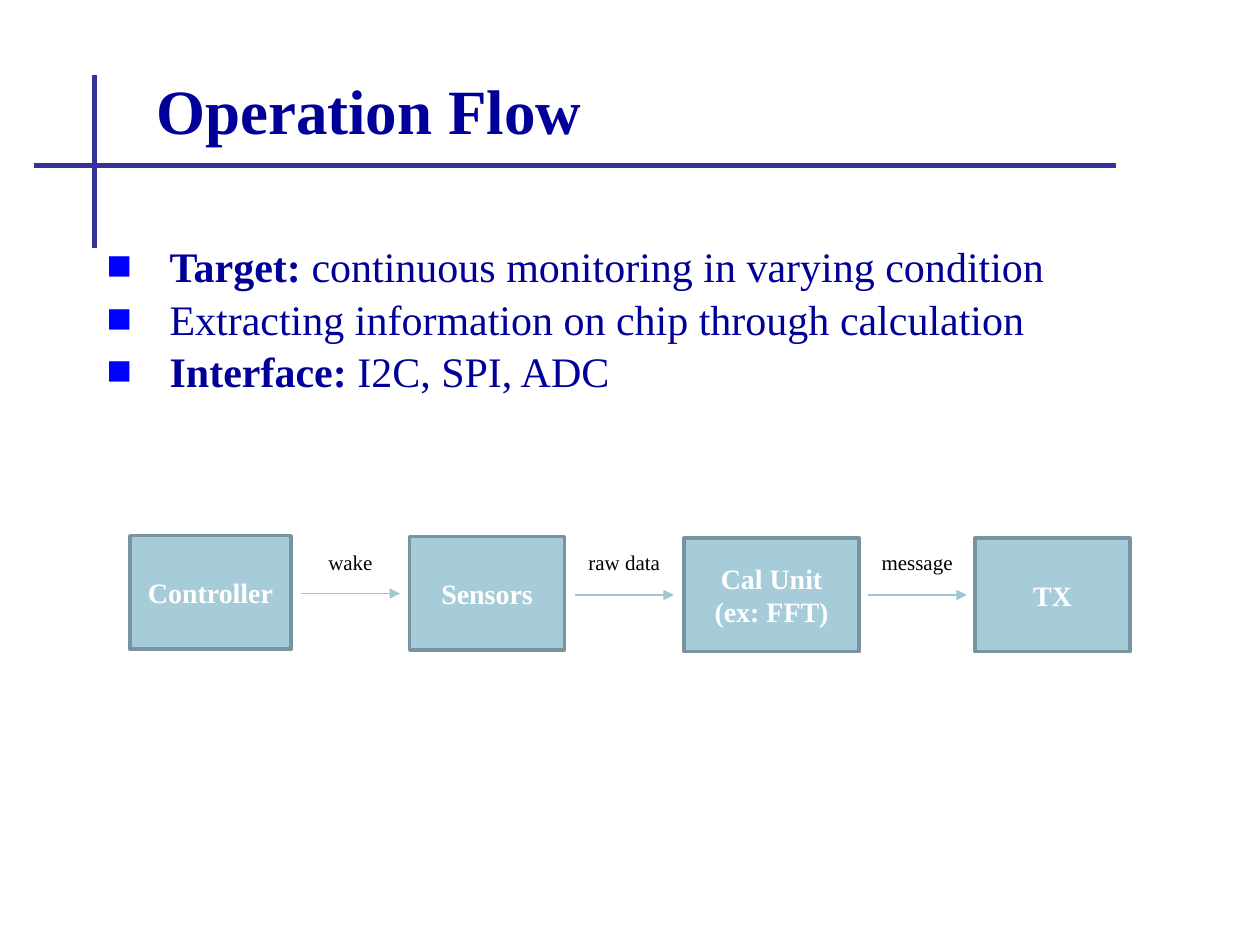
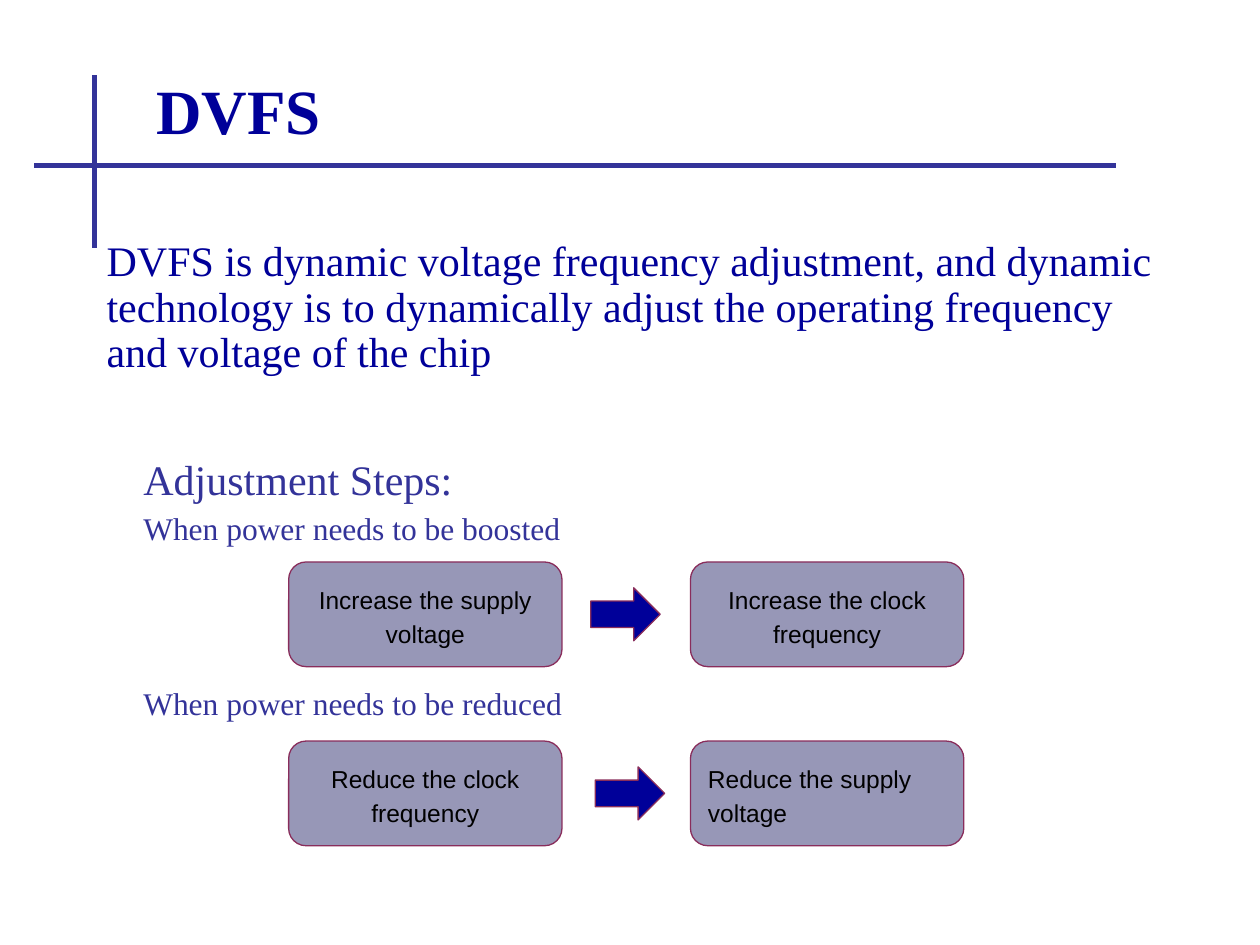
from lxml.etree import SubElement
from pptx import Presentation
from pptx.dml.color import RGBColor
from pptx.enum.shapes import MSO_CONNECTOR as Connector, MSO_SHAPE as Shape
from pptx.enum.text import MSO_ANCHOR as Anchor, PP_ALIGN as Align
from pptx.oxml.ns import qn
from pptx.util import Cm, Pt

COLORS = {
    "rule": "333399", "text": "000099", "bullet": "0000FF",
    "node": "A7CCD9", "node_edge": "79949E", "flow": "A1C7D4",
    "step": "9797B7", "step_edge": "892D5B",
    "white": "FFFFFF", "black": "000000",
}
SERIF, SANS = "Times New Roman", "Arial"

# Shared frame, in cm
RULES = [(0.69, 3.33, 22.5, 3.33), (1.9, 1.52, 1.9, 5)]
TITLE_AREA = (2.9, 0.91, 20.6, 2.59)
BODY_AREA = (1.9, 4.72, 21.6, 12.62)

# Operation flow: bullets are (bold lead, rest), nodes are (text, left, top, width)
FLOW_BULLETS = [
    ("Target: ", "continuous monitoring in varying condition"),
    ("", "Extracting information on chip through calculation"),
    ("Interface:", " I2C, SPI, ADC"),
]
NODES = [
    (["Controller"], 2.62, 10.8, 3.25),
    (["Sensors"], 8.26, 10.82, 3.12),
    (["Cal Unit", "(ex: FFT)"], 13.79, 10.85, 3.53),
    (["TX"], 19.66, 10.85, 3.12),
]
MESSAGES = ["wake", "raw data", "message"]
NODE_HEIGHT, FLOW_LENGTH = 2.29, 2
LABEL_TOP, LABEL_WIDTH, LABEL_HEIGHT = 10.95, 2.6, 0.8

# DVFS: rows are (top, arrow left, steps with alignment)
DVFS_TEXT = ("DVFS is dynamic voltage frequency adjustment, and dynamic technology "
             "is to dynamically adjust the operating frequency and voltage of the chip")
STEP_NOTES = ["Adjustment Steps:", "When power needs to be boosted",
              "When power needs to be reduced"]
STEP_ROWS = [
    (11.33, 11.91, [("Increase the supply voltage", Align.CENTER),
                    ("Increase the clock frequency", Align.CENTER)]),
    (14.94, 12, [("Reduce the clock frequency", Align.CENTER),
                 ("Reduce the supply voltage", Align.LEFT)]),
]
STEP_LEFTS = [5.82, 13.92]
STEP_WIDTH, STEP_HEIGHT = 5.51, 2.11
ARROW_WIDTH, ARROW_HEIGHT = 1.4, 1.07


def rgb(name):
    return RGBColor.from_string(COLORS[name])


def style(span, size, color, font=SERIF, bold=False):
    span.font.size, span.font.name, span.font.bold = Pt(size), font, bold
    span.font.color.rgb = rgb(color)


def write(box, lines, size, color, align=Align.LEFT, anchor=Anchor.TOP, inset=0.13,
          **look):
    """Fill a box with one paragraph per line and return the paragraphs."""
    frame = box.text_frame
    frame.text = "\n".join(lines)
    frame.word_wrap, frame.vertical_anchor = True, anchor
    frame.margin_left = frame.margin_right = Cm(0.25)
    frame.margin_top = frame.margin_bottom = Cm(inset)
    for para in frame.paragraphs:
        para.alignment = align
        for span in para.runs:
            style(span, size, color, **look)
    return frame.paragraphs


def add_box(page, area):
    return page.shapes.add_textbox(*map(Cm, area))


def add_block(page, kind, area, fill, edge, width):
    block = page.shapes.add_shape(kind, *map(Cm, area))
    block.shadow.inherit = False
    block.fill.solid()
    block.fill.fore_color.rgb = rgb(fill)
    block.line.color.rgb = rgb(edge)
    block.line.width = Pt(width)
    return block


def add_line(page, ends, color, width, arrow=False):
    line = page.shapes.add_connector(Connector.STRAIGHT, *map(Cm, ends))
    line.line.color.rgb = rgb(color)
    line.line.width = Pt(width)
    if arrow:
        SubElement(line.line._get_or_add_ln(), qn("a:tailEnd"), type="triangle")
    SubElement(line._element.spPr, qn("a:effectLst"))


def add_bullet(para):
    props = para._p.get_or_add_pPr()
    props.set("marL", str(Cm(1.27)))
    props.set("indent", str(-Cm(1.27)))
    SubElement(SubElement(props, qn("a:buClr")), qn("a:srgbClr"), val=COLORS["bullet"])
    SubElement(props, qn("a:buFont"), typeface=SERIF)
    SubElement(props, qn("a:buChar"), char="■")


def add_page(deck, title):
    page = deck.slides.add_slide(deck.slide_layouts[6])
    for ends in RULES:
        add_line(page, ends, "rule", 3)
    write(add_box(page, TITLE_AREA), [title], 36, "text", anchor=Anchor.MIDDLE, bold=True)
    return page


def build_operation_flow(deck):
    page = add_page(deck, "Operation Flow")

    # Bullets
    paras = write(add_box(page, BODY_AREA), [rest for _, rest in FLOW_BULLETS], 24, "text")
    for index, (para, (lead, rest)) in enumerate(zip(paras, FLOW_BULLETS)):
        add_bullet(para)
        if index:
            para.space_before = Pt(1.2)
        if lead:
            para.runs[0].text = lead
            para.runs[0].font.bold = True
            span = para.add_run()
            span.text = rest
            style(span, 24, "text")

    # Nodes
    for lines, left, top, width in NODES:
        node = add_block(page, Shape.RECTANGLE, (left, top, width, NODE_HEIGHT),
                         "node", "node_edge", 2)
        write(node, lines, 16, "white", Align.CENTER, Anchor.MIDDLE, bold=True)

    # Arrows and labels, centred in the gaps between nodes
    for message, source, target in zip(MESSAGES, NODES, NODES[1:]):
        center = (source[1] + source[3] + target[1]) / 2
        middle = target[2] + NODE_HEIGHT / 2
        add_line(page, (center - FLOW_LENGTH / 2, middle, center + FLOW_LENGTH / 2, middle),
                 "flow", 0.75, arrow=True)
        label = add_box(page, (center - LABEL_WIDTH / 2, LABEL_TOP,
                               LABEL_WIDTH, LABEL_HEIGHT))
        write(label, [message], 12, "black", Align.CENTER)


def build_dvfs(deck):
    page = add_page(deck, "DVFS")
    write(add_box(page, BODY_AREA), [DVFS_TEXT], 24, "text")[0].line_spacing = 0.9

    # Step notes
    heading, boosted, reduced = write(add_box(page, (2.64, 8.89, 11.86, 6.99)),
                                      STEP_NOTES, 18, "rule", inset=0.25)
    heading.runs[0].font.size = Pt(24)
    boosted.line_spacing = reduced.line_spacing = 1.15
    reduced.space_before = Pt(75)

    # Steps and the arrow between them
    for top, arrow_left, steps in STEP_ROWS:
        for left, (text, align) in zip(STEP_LEFTS, steps):
            step = add_block(page, Shape.ROUNDED_RECTANGLE,
                             (left, top, STEP_WIDTH, STEP_HEIGHT), "step", "step_edge", 0.75)
            paras = write(step, [text], 14, "black", align, Anchor.MIDDLE, 0.25, font=SANS)
            paras[0].line_spacing = 1.15
        arrow_top = top + (STEP_HEIGHT - ARROW_HEIGHT) / 2
        add_block(page, Shape.RIGHT_ARROW, (arrow_left, arrow_top, ARROW_WIDTH, ARROW_HEIGHT),
                  "text", "step_edge", 0.75)


def main():
    deck = Presentation()
    deck.slide_width, deck.slide_height = Cm(25.4), Cm(19.05)
    build_operation_flow(deck)
    build_dvfs(deck)
    deck.save("out.pptx")


if __name__ == "__main__":
    main()
